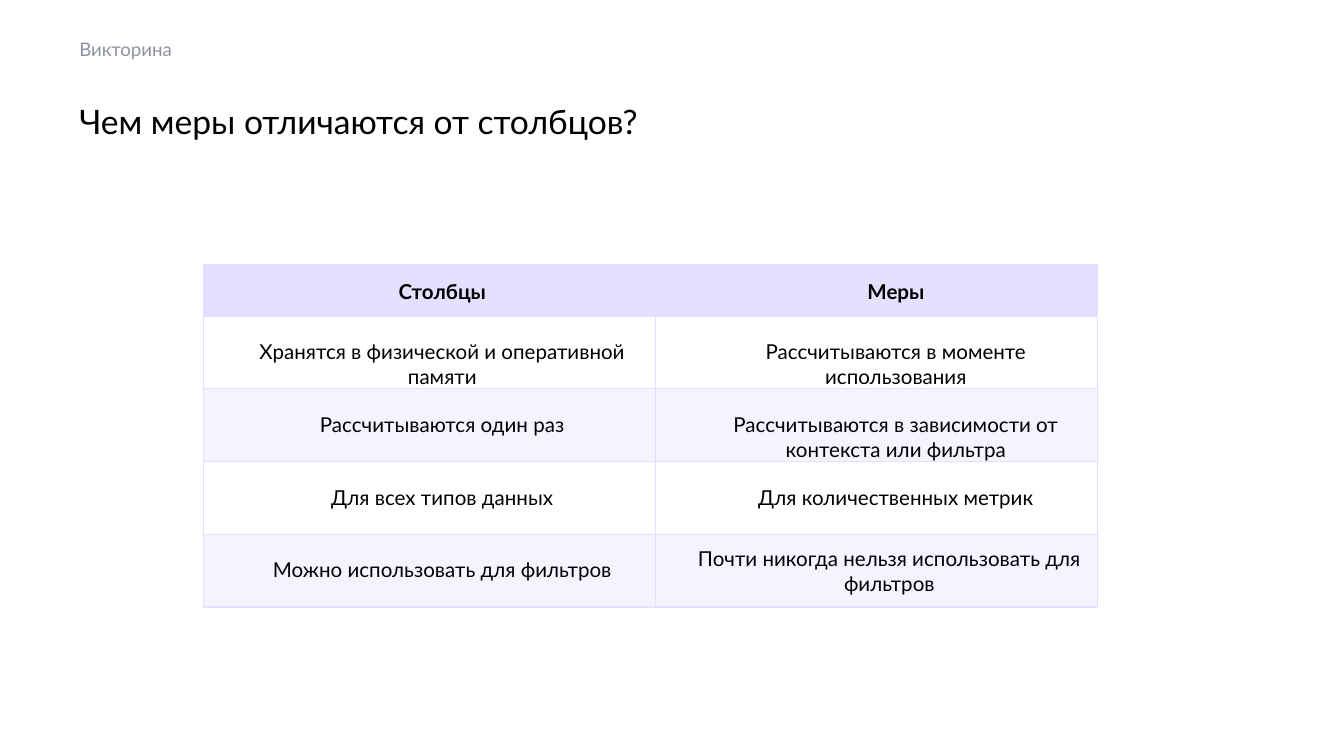
from lxml.etree import SubElement
from pptx import Presentation
from pptx.dml.color import RGBColor
from pptx.enum.text import MSO_ANCHOR, PP_ALIGN
from pptx.oxml import parse_xml
from pptx.oxml.ns import nsdecls, qn
from pptx.util import Pt

COLORS = {"text": "000000", "muted": "8F93A3", "lavender": "E3E1FF"}
FONT = "Lato"

TOPIC = "Викторина"
QUESTION = "Чем меры отличаются от столбцов?"
COMPARISON = [
    ("Столбцы", "Меры"),
    ("Хранятся в физической и оперативной памяти", "Рассчитываются в моменте использования"),
    ("Рассчитываются один раз", "Рассчитываются в зависимости от контекста или фильтра"),
    ("Для всех типов данных", "Для количественных метрик"),
    ("Можно использовать для фильтров", "Почти никогда нельзя использовать для фильтров"),
]
COLUMN_WIDTHS = [242, 237]
HEADER_HEIGHT, ROW_HEIGHT = 27.5, 39
INDENT, WIDE_INDENT = 14, 21
LOWERED = 12.5
BAND_OPACITY = 38


def style(paragraph, size, color, bold=False):
    font = paragraph.font
    font.name, font.size, font.bold = FONT, Pt(size), bold
    font.color.rgb = RGBColor.from_string(COLORS[color])


def add_heading(slide, text, box, size, color, anchor, inset=0, spacing=None):
    frame = slide.shapes.add_textbox(*map(Pt, box)).text_frame
    frame.word_wrap = True
    frame.vertical_anchor = anchor
    frame.margin_left = frame.margin_right = 0
    frame.margin_top = frame.margin_bottom = Pt(inset)
    paragraph = frame.paragraphs[0]
    paragraph.text = text
    paragraph.line_spacing = spacing
    style(paragraph, size, color)


def add_borders(cell):
    properties = cell._tc.get_or_add_tcPr()
    for position, side in enumerate(("lnL", "lnR", "lnT", "lnB")):
        properties.insert(position, parse_xml(
            f'<a:{side} {nsdecls("a")} w="{Pt(0.75)}"><a:solidFill>'
            f'<a:srgbClr val="{COLORS["lavender"]}"/></a:solidFill></a:{side}>'))


def paint(cell, row):
    if row % 2:
        cell.fill.background()
        return
    cell.fill.solid()
    cell.fill.fore_color.rgb = RGBColor.from_string(COLORS["lavender"])
    if row:
        tint = cell._tc.tcPr.find(qn("a:solidFill")).find(qn("a:srgbClr"))
        SubElement(tint, qn("a:alpha"), val=str(BAND_OPACITY * 1000))


def fill_cell(cell, text, row, column):
    header = row == 0
    lowered = not header and (column == 0 or row < 3)
    last_row = row == len(COMPARISON) - 1
    cell.margin_left = Pt(WIDE_INDENT if column and not last_row else INDENT)
    cell.margin_right = cell.margin_bottom = 0
    cell.margin_top = Pt(LOWERED if lowered else 1.5 if header else 0)
    cell.vertical_anchor = MSO_ANCHOR.TOP if lowered else MSO_ANCHOR.MIDDLE
    paragraph = cell.text_frame.paragraphs[0]
    paragraph.text = text
    paragraph.alignment = PP_ALIGN.CENTER
    style(paragraph, 11, "text", header)
    paint(cell, row)
    add_borders(cell)


def add_comparison(slide):
    heights = [HEADER_HEIGHT] + [ROW_HEIGHT] * (len(COMPARISON) - 1)
    table = slide.shapes.add_table(
        len(heights), len(COLUMN_WIDTHS), Pt(109), Pt(141.8),
        Pt(sum(COLUMN_WIDTHS)), Pt(sum(heights))).table
    table.first_row = table.horz_banding = False
    for column, width in zip(table.columns, COLUMN_WIDTHS):
        column.width = Pt(width)
    for row, height in zip(table.rows, heights):
        row.height = Pt(height)
    for row, texts in enumerate(COMPARISON):
        for column, text in enumerate(texts):
            fill_cell(table.cell(row, column), text, row, column)


def main():
    presentation = Presentation()
    presentation.slide_width, presentation.slide_height = Pt(720), Pt(405)
    slide = presentation.slides.add_slide(presentation.slide_layouts[6])
    add_heading(slide, QUESTION, (42.5, 56.9, 635, 18.7), 18, "text",
                MSO_ANCHOR.BOTTOM, spacing=0.85)
    add_heading(slide, TOPIC, (42.5, 12.2, 469.5, 28), 10, "muted",
                MSO_ANCHOR.MIDDLE, inset=3)
    add_comparison(slide)
    presentation.save("out.pptx")


if __name__ == "__main__":
    main()
